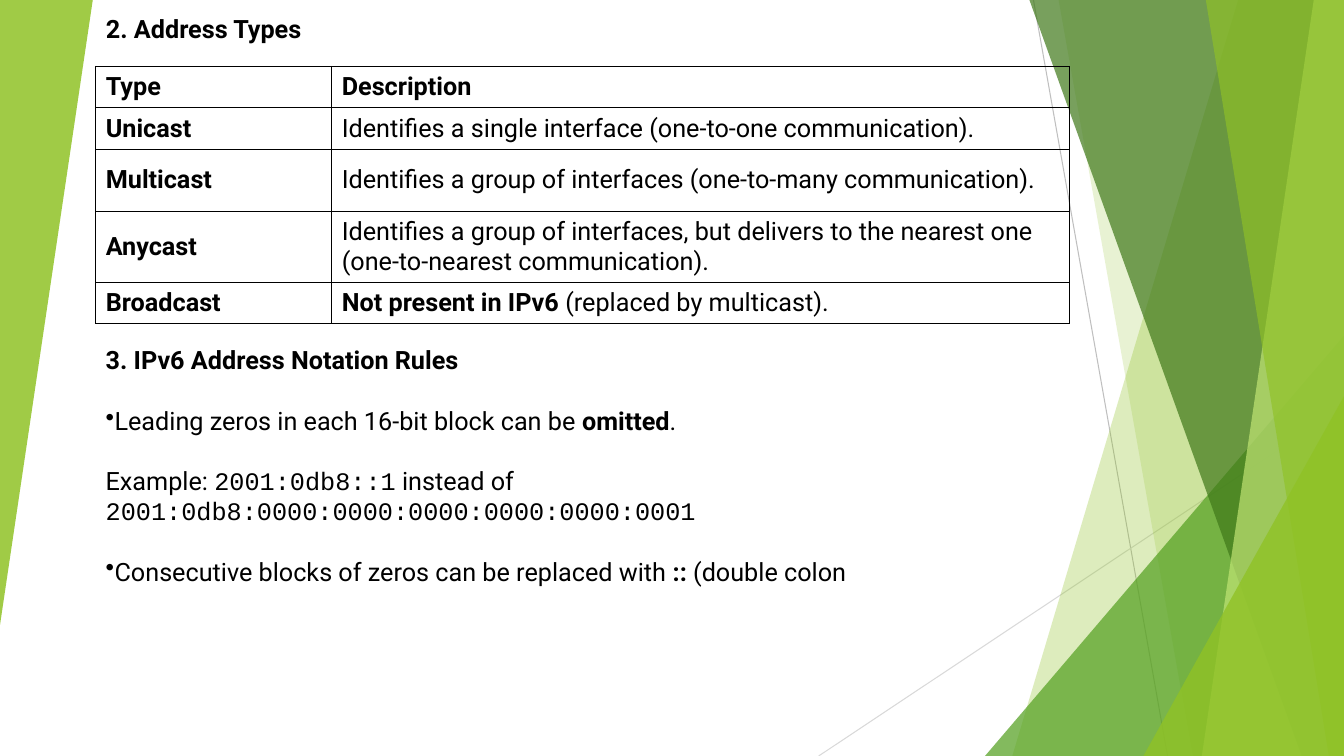
"""Build a slide on IPv6 address types and notation rules."""
import pptx
import pptx.dml.color
import pptx.enum.shapes
import pptx.enum.text
import pptx.oxml
import pptx.oxml.ns
import pptx.util

RGBColor = pptx.dml.color.RGBColor
Inches = pptx.util.Inches
Pt = pptx.util.Pt
ANCHOR = pptx.enum.text.MSO_ANCHOR

BLACK = RGBColor(0x00, 0x00, 0x00)
GREEN = RGBColor(0x90, 0xC2, 0x26)
LEAF = RGBColor(0x54, 0xA0, 0x21)
FOREST = RGBColor(0x3F, 0x78, 0x19)
LIME = RGBColor(0xC0, 0xE4, 0x74)
GREY = RGBColor(0xBF, 0xBF, 0xBF)
PALE_GREY = RGBColor(0xD9, 0xD9, 0xD9)

WIDTH, HEIGHT = 13.33, 7.5
LEFT, CONTENT_WIDTH = 0.95, 9.66
TEXT_SIZE = Pt(18)
PARAGRAPH_GAP = Pt(21.5)
PLAIN, BOLD, CODE = ("Roboto", False), ("Roboto", True), ("Courier New", False)

TITLE = [("2. Address Types", BOLD)]
ADDRESS_TYPES = [
    ([("Type", BOLD)], [("Description", BOLD)]),
    ([("Unicast", BOLD)], [("Identifies a single interface (one-to-one communication).", PLAIN)]),
    ([("Multicast", BOLD)], [("Identifies a group of interfaces (one-to-many communication).", PLAIN)]),
    ([("Anycast", BOLD)], [("Identifies a group of interfaces, but delivers to the nearest one "
                            "(one-to-nearest communication).", PLAIN)]),
    ([("Broadcast", BOLD)], [("Not present in IPv6", BOLD), (" (replaced by multicast).", PLAIN)]),
]
COLUMN_WIDTHS = [2.34, 7.32]
ROW_HEIGHTS = [0.41, 0.41, 0.62, 0.7, 0.41]
NOTATION_RULES = [
    (False, [("3. IPv6 Address Notation Rules", BOLD)]),
    (True, [("Leading zeros in each 16-bit block can be ", PLAIN), ("omitted", BOLD), (".", PLAIN)]),
    (False, [("Example: ", PLAIN), ("2001:0db8::1", CODE), (" instead of ", PLAIN),
             ("2001:0db8:0000:0000:0000:0000:0000:0001", CODE)]),
    (True, [("Consecutive blocks of zeros can be replaced with ", PLAIN), ("::", BOLD),
            (" (double colon", PLAIN)]),
]

RAYS = [((10.25, 0), (11.58, HEIGHT), GREY), ((WIDTH, 4.03), (8.12, HEIGHT), PALE_GREY)]
FACETS = [
    ("band", 12.28, 10.04, GREEN, 30),
    ("band", 10.5, 11.83, GREEN, 20),
    ("corner", 9.77, 3.33, LEAF, 72),
    ("band", 10.21, 12.91, FOREST, 70),
    ("band", 13.03, 11.92, LIME, 70),
    ("band", 11.96, 13.18, GREEN, 65),
    ("corner", 11.34, 3.93, GREEN, 80),
]


def add_xml(parent, tag, **attributes):
    element = pptx.oxml.parse_xml(f'<a:{tag} {pptx.oxml.ns.nsdecls("a")}/>')
    for name, value in attributes.items():
        element.set(name, str(value))
    parent.append(element)
    return element


def paint(shape, color, opacity):
    shape.shadow.inherit = False
    shape.line.fill.background()
    shape.fill.solid()
    shape.fill.fore_color.rgb = color
    color_element = shape.fill._xPr.find(".//" + pptx.oxml.ns.qn("a:srgbClr"))
    add_xml(color_element, "alpha", val=opacity * 1000)


def add_ray(slide, start, end, color):
    ray = slide.shapes.add_connector(
        pptx.enum.shapes.MSO_CONNECTOR.STRAIGHT, *map(Inches, start + end))
    ray.line.color.rgb = color
    ray.line.width = Pt(0.75)
    add_xml(ray._element.spPr, "effectLst")


def add_band(slide, top_left, bottom_left):
    corners = [(top_left, 0), (WIDTH, 0), (WIDTH, HEIGHT), (bottom_left, HEIGHT)]
    points = [(Inches(x), Inches(y)) for x, y in corners]
    builder = slide.shapes.build_freeform(*points[0])
    builder.add_line_segments(points[1:], close=True)
    return builder.convert_to_shape()


def add_triangle(slide, left, top, width, height):
    triangle = slide.shapes.add_shape(
        pptx.enum.shapes.MSO_SHAPE.ISOSCELES_TRIANGLE, *map(Inches, (left, top, width, height)))
    triangle.adjustments[0] = 1
    return triangle


def add_runs(paragraph, runs):
    paragraph.alignment = pptx.enum.text.PP_ALIGN.LEFT
    for text, (font_name, bold) in runs:
        run = paragraph.add_run()
        run.text = text
        run.font.name = font_name
        run.font.size = TEXT_SIZE
        run.font.bold = bold
        run.font.color.rgb = BLACK


def add_backdrop(slide):
    for start, end, color in RAYS:
        add_ray(slide, start, end, color)
    for kind, first, second, color, opacity in FACETS:
        if kind == "band":
            facet = add_band(slide, first, second)
        else:
            facet = add_triangle(slide, first, second, WIDTH - first, HEIGHT - second)
        paint(facet, color, opacity)
    left_wedge = add_triangle(slide, 0, 0, 0.92, 6.2)
    left_wedge.rotation = 180
    paint(left_wedge, GREEN, 85)


def add_title(slide):
    title = slide.shapes.title
    title.left, title.top, title.width, title.height = map(Inches, (LEFT, 0.08, 9.19, 0.4))
    title.text_frame.vertical_anchor = ANCHOR.TOP
    title.text_frame.auto_size = pptx.enum.text.MSO_AUTO_SIZE.NONE
    add_runs(title.text_frame.paragraphs[0], TITLE)


def add_borders(cell):
    properties = cell._tc.get_or_add_tcPr()
    for side in ("lnL", "lnR", "lnT", "lnB"):
        border = add_xml(properties, side, w=Pt(1))
        add_xml(add_xml(border, "solidFill"), "srgbClr", val=BLACK)


def add_address_table(slide):
    frame = slide.shapes.add_table(
        len(ROW_HEIGHTS), len(COLUMN_WIDTHS),
        *map(Inches, (LEFT, 0.66, CONTENT_WIDTH, sum(ROW_HEIGHTS))))
    table = frame.table
    table.horz_banding = False
    for column, width in zip(table.columns, COLUMN_WIDTHS):
        column.width = Inches(width)
    for row, height, contents in zip(table.rows, ROW_HEIGHTS, ADDRESS_TYPES):
        row.height = Inches(height)
        for cell, runs in zip(row.cells, contents):
            cell.vertical_anchor = ANCHOR.MIDDLE
            add_borders(cell)
            cell.fill.background()
            add_runs(cell.text_frame.paragraphs[0], runs)


def add_notation_rules(slide):
    box = slide.shapes.add_textbox(*map(Inches, (LEFT, 3.37, CONTENT_WIDTH, 2.52)))
    box.text_frame.word_wrap = True
    for index, (bulleted, runs) in enumerate(NOTATION_RULES):
        paragraph = box.text_frame.add_paragraph() if index else box.text_frame.paragraphs[0]
        if bulleted:
            add_xml(paragraph._p.get_or_add_pPr(), "buChar", char="•")
        if index:
            paragraph.space_before = PARAGRAPH_GAP
        add_runs(paragraph, runs)


def main():
    presentation = pptx.Presentation()
    presentation.slide_width, presentation.slide_height = Inches(WIDTH), Inches(HEIGHT)
    slide = presentation.slides.add_slide(presentation.slide_layouts.get_by_name("Title Only"))
    add_backdrop(slide)
    add_title(slide)
    add_address_table(slide)
    add_notation_rules(slide)
    presentation.save("out.pptx")


if __name__ == "__main__":
    main()
